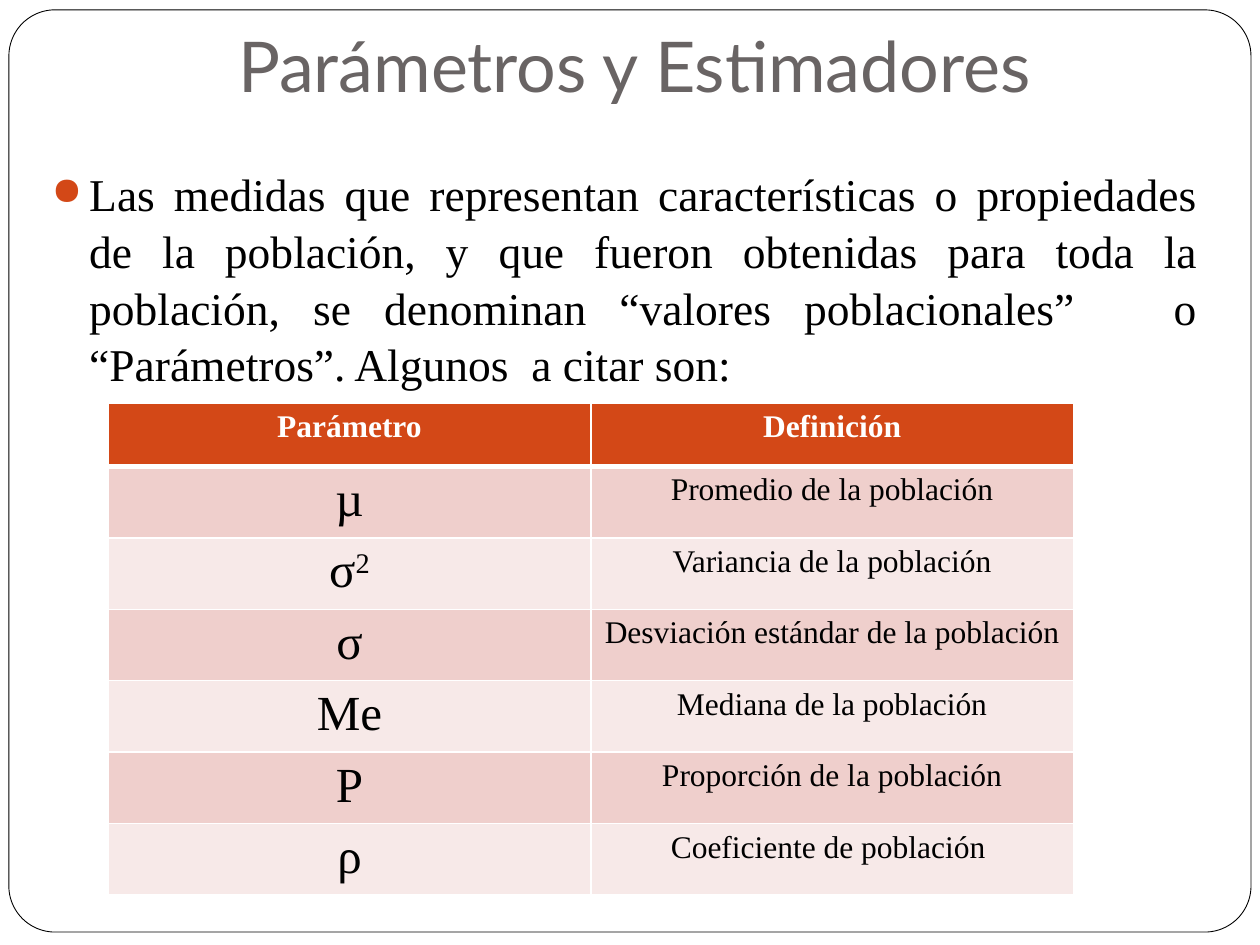
from dataclasses import dataclass

from pptx import Presentation
from pptx.dml.color import RGBColor
from pptx.enum.shapes import MSO_SHAPE
from pptx.enum.text import MSO_ANCHOR, PP_ALIGN
from pptx.oxml import parse_xml
from pptx.oxml.ns import nsdecls
from pptx.util import Cm, Pt

ROUNDED = MSO_SHAPE.ROUNDED_RECTANGLE
BOTTOM, TOP = MSO_ANCHOR.BOTTOM, MSO_ANCHOR.TOP
CENTER, JUSTIFY = PP_ALIGN.CENTER, PP_ALIGN.JUSTIFY


@dataclass(frozen=True)
class Theme:
    heading_font: str = "Lato"
    text_font: str = "Times New Roman"
    title_size: int = 40
    body_size: int = 26
    symbol_size: int = 28
    cell_size: int = 18
    title: str = "696464"
    ink: str = "000000"
    paper: str = "FFFFFF"
    accent: str = "D34817"
    bands: tuple = ("EFCFCC", "F7E9E8")


TITLE = "Parámetros y Estimadores"
BODY = (
    "Las medidas que representan características o propiedades de la población, "
    "y que fueron obtenidas para toda la población, se denominan "
    "“valores poblacionales”   o “Parámetros”. Algunos  a citar son:"
)
HEADERS = ("Parámetro", "Definición")
# Symbol, superscript, definition
PARAMETERS = [
    ("µ", "", "Promedio de la población"),
    ("σ", "2", "Variancia de la población"),
    ("σ", "", "Desviación estándar de la población"),
    ("Me", "", "Mediana de la población"),
    ("P", "", "Proporción de la población"),
    ("ρ", "", "Coeficiente de población "),
]


class SlideBuilder:
    def __init__(self, slide, theme):
        self.slide = slide
        self.theme = theme

    def style(self, font, color, **values):
        values = {"name": self.theme.text_font, "bold": False} | values
        for name, value in values.items():
            setattr(font, name, value)
        font.color.rgb = RGBColor.from_string(color)

    def frame(self, left, top, width, height):
        shape = self.slide.shapes.add_shape(
            ROUNDED, Cm(left), Cm(top), Cm(width), Cm(height))
        shape.adjustments[0] = 0.05
        shape.shadow.inherit = False
        shape.fill.solid()
        shape.fill.fore_color.rgb = RGBColor.from_string(self.theme.paper)
        shape.line.color.rgb = RGBColor.from_string(self.theme.ink)
        shape.line.width = Pt(0.5)

    def text(self, left, top, width, height, words, align, color, font, **frame_values):
        box = self.slide.shapes.add_textbox(Cm(left), Cm(top), Cm(width), Cm(height))
        values = {"word_wrap": True, "vertical_anchor": TOP} | frame_values
        for name, value in values.items():
            setattr(box.text_frame, name, value)
        para = box.text_frame.paragraphs[0]
        para.alignment = align
        span = para.add_run()
        span.text = words
        self.style(span.font, color, **font)
        return para

    def bullet(self, para, indent):
        properties = para._p.get_or_add_pPr()
        properties.set("marL", str(Cm(indent)))
        properties.set("indent", str(-Cm(indent)))
        for tag in (
            f'<a:buClr {nsdecls("a")}><a:srgbClr val="{self.theme.accent}"/></a:buClr>',
            f'<a:buSzPct {nsdecls("a")} val="85000"/>',
            f'<a:buChar {nsdecls("a")} char="●"/>',
        ):
            properties.append(parse_xml(tag))

    def borders(self, cell, bottom):
        """Draw the four cell edges; they must precede the fill in the XML."""
        widths = {"lnL": 1, "lnR": 1, "lnT": 1, "lnB": bottom}
        properties = cell._tc.get_or_add_tcPr()
        for place, (edge, width) in enumerate(widths.items()):
            properties.insert(place, parse_xml(
                f'<a:{edge} {nsdecls("a")} w="{Pt(width)}"><a:solidFill>'
                f'<a:srgbClr val="{self.theme.paper}"/></a:solidFill></a:{edge}>'))

    def cell(self, cell, words, fill, color, size, bold=False, raised="", bottom=1):
        cell.fill.solid()
        cell.fill.fore_color.rgb = RGBColor.from_string(fill)
        self.borders(cell, bottom)
        para = cell.text_frame.paragraphs[0]
        para.alignment = CENTER
        for part, baseline in ((words, 0), (raised, 30000)):
            if part:
                span = para.add_run()
                span.text = part
                self.style(span.font, color, size=Pt(size), bold=bold)
                if baseline:
                    span.font._element.set("baseline", str(baseline))

    def table(self, left, top, column_width, row_height, headers, rows):
        theme = self.theme
        count = len(rows) + 1
        table = self.slide.shapes.add_table(
            count, len(headers), Cm(left), Cm(top),
            Cm(column_width * len(headers)), Cm(row_height * count)).table
        for column, words in enumerate(headers):
            self.cell(table.cell(0, column), words, theme.accent, theme.paper,
                      theme.cell_size, bold=True, bottom=3)
        for row, (symbol, raised, definition) in enumerate(rows, start=1):
            fill = theme.bands[(row - 1) % len(theme.bands)]
            self.cell(table.cell(row, 0), symbol, fill, theme.ink,
                      theme.symbol_size, raised=raised)
            self.cell(table.cell(row, 1), definition, fill, theme.ink, theme.cell_size)


def main():
    deck = Presentation()
    deck.slide_width, deck.slide_height = Cm(25.4), Cm(19.05)
    theme = Theme()
    page = SlideBuilder(deck.slides.add_slide(deck.slide_layouts[6]), theme)

    page.frame(0.18, 0.2, 25.04, 18.59)
    page.text(0.79, 0, 24, 2.39, TITLE, CENTER, theme.title,
              {"name": theme.heading_font, "size": Pt(theme.title_size)},
              vertical_anchor=BOTTOM, margin_bottom=Cm(0.25))
    para = page.text(0.79, 3.18, 23.62, 14.68, BODY, JUSTIFY, theme.ink,
                     {"size": Pt(theme.body_size)})
    para.line_spacing = 1.04
    page.bullet(para, 0.76)
    page.table(2.18, 8.13, 9.73, 1.27, HEADERS, PARAMETERS)

    deck.save("out.pptx")


if __name__ == "__main__":
    main()
